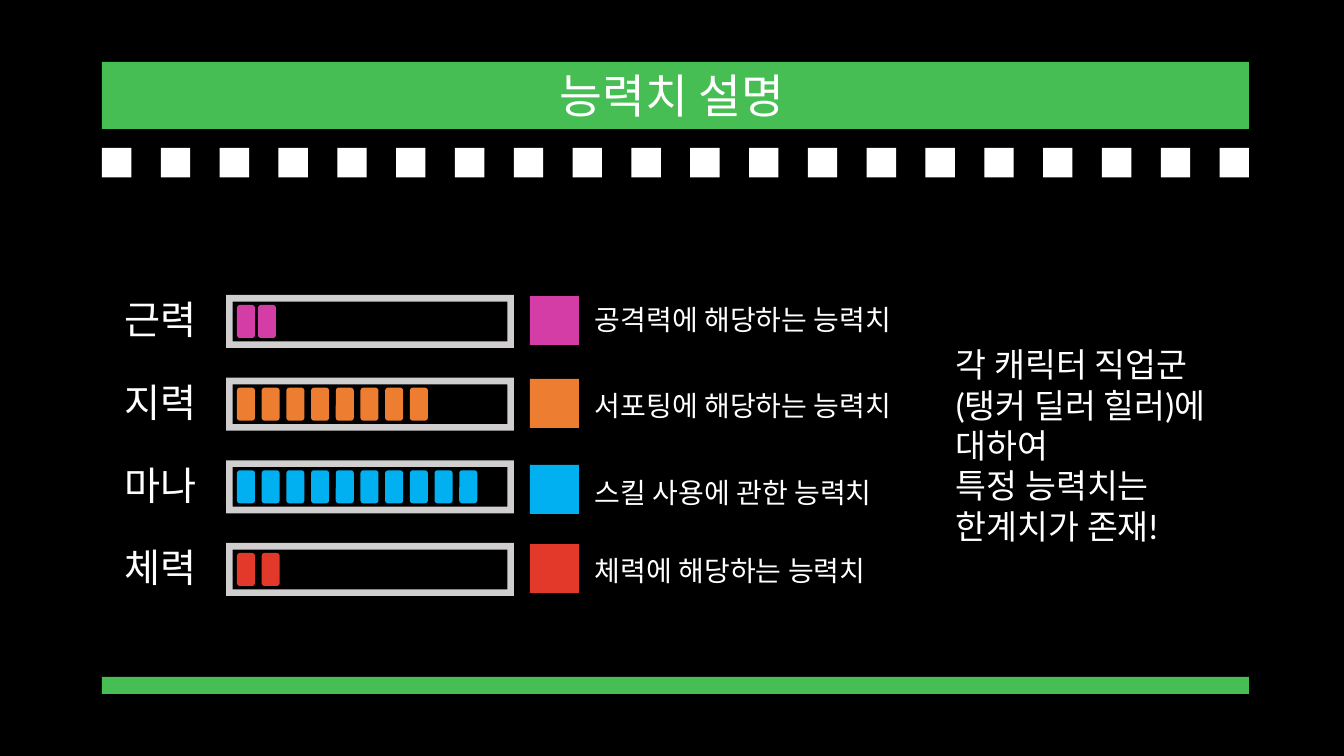
from pptx import Presentation
from pptx import util as u
from pptx.dml.color import RGBColor
from pptx.enum import shapes, text

TITLE = "능력치 설명"
# name, colour, filled cells, cell pitch, swatch top, meaning, meaning top
STATS = [
    ("근력", "D33DA5", 2, 21, 296, "공격력에 해당하는 능력치", 288),
    ("지력", "ED7D31", 8, 24.7, 379, "서포팅에 해당하는 능력치", 374),
    ("마나", "00B0F0", 10, 24.7, 465, "스킬 사용에 관한 능력치", 461),
    ("체력", "E2392B", 2, 24.7, 544, "체력에 해당하는 능력치", 539),
]
NOTE = ["각 캐릭터 직업군 (탱커 딜러 힐러)에 대하여", "특정 능력치는 한계치가 존재!"]
BLACK, WHITE, GREEN, GREY = "000000", "FFFFFF", "46BE53", "D0CECE"

SCALE = 914400 / 100.8
BAND_LEFT, BAND_WIDTH = 102, 1147
SQUARES = 20
GAUGE_LEFT, GAUGE_TOP, GAUGE_PITCH = 226, 295, 248 / 3
KIND = shapes.MSO_SHAPE


def emu(*lengths):
    return [round(length * SCALE) for length in lengths]


def colour(value):
    return RGBColor.from_string(value)


def add_block(page, kind, fill, *place):
    block = page.shapes.add_shape(kind, *emu(*place))
    block.shadow.inherit = False
    block.fill.solid()
    block.fill.fore_color.rgb = colour(fill)
    block.line.fill.background()
    return block


def write(box, lines, size, font="Lato", **paragraph_format):
    frame = box.text_frame
    frame.word_wrap = True
    frame.vertical_anchor = text.MSO_ANCHOR.MIDDLE
    for index, line in enumerate(lines):
        para = frame.add_paragraph() if index else frame.paragraphs[0]
        for name, value in paragraph_format.items():
            setattr(para, name, value)
        span = para.add_run()
        span.text = line
        for name, value in {"name": font, "size": u.Pt(size)}.items():
            setattr(span.font, name, value)
        span.font.color.rgb = colour(WHITE)


def add_text(page, line, size, place, **formats):
    write(page.shapes.add_textbox(*emu(*place)), [line], size, **formats)


def draw_header_and_footer(page):
    add_block(page, KIND.RECTANGLE, GREEN, BAND_LEFT, 62, BAND_WIDTH, 67)
    side = BAND_WIDTH / (2 * SQUARES - 1)
    for index in range(SQUARES):
        add_block(page, KIND.RECTANGLE, WHITE, BAND_LEFT + 2 * side * index, 148, side, side)
    add_block(page, KIND.RECTANGLE, GREEN, BAND_LEFT, 677, BAND_WIDTH, 17)
    add_text(page, TITLE, 33.3, (98, 72, 1148, 56),
             alignment=text.PP_ALIGN.CENTER, line_spacing=0.8)


def draw_stat(page, row, stat):
    name, fill, cells, pitch, swatch_top, meaning, meaning_top = stat
    top = GAUGE_TOP + row * GAUGE_PITCH
    add_text(page, name, 28, (109, top - 1, 103, 56),
             alignment=text.PP_ALIGN.CENTER, line_spacing=0.9)
    add_block(page, KIND.FRAME, GREY, GAUGE_LEFT, top, 288, 53)
    for cell in range(cells):
        add_block(page, KIND.ROUNDED_RECTANGLE, fill,
                  GAUGE_LEFT + 11 + cell * pitch, top + 10, 18, 33)
    add_block(page, KIND.RECTANGLE, fill, 530, swatch_top, 49, 49)
    add_text(page, meaning, 20, (585, meaning_top, 361, 74),
             font="Noto Sans CJK KR", line_spacing=0.5)


def main():
    deck = Presentation()
    deck.slide_width, deck.slide_height = emu(1344, 756)
    page = deck.slides.add_slide(deck.slide_layouts[6])
    page.background.fill.solid()
    page.background.fill.fore_color.rgb = colour(BLACK)
    draw_header_and_footer(page)
    for row, stat in enumerate(STATS):
        draw_stat(page, row, stat)
    note = add_block(page, KIND.RECTANGLE, BLACK, 946, 293, 300, 304)
    write(note, NOTE, 24, alignment=text.PP_ALIGN.LEFT)
    deck.save("out.pptx")


if __name__ == "__main__":
    main()
